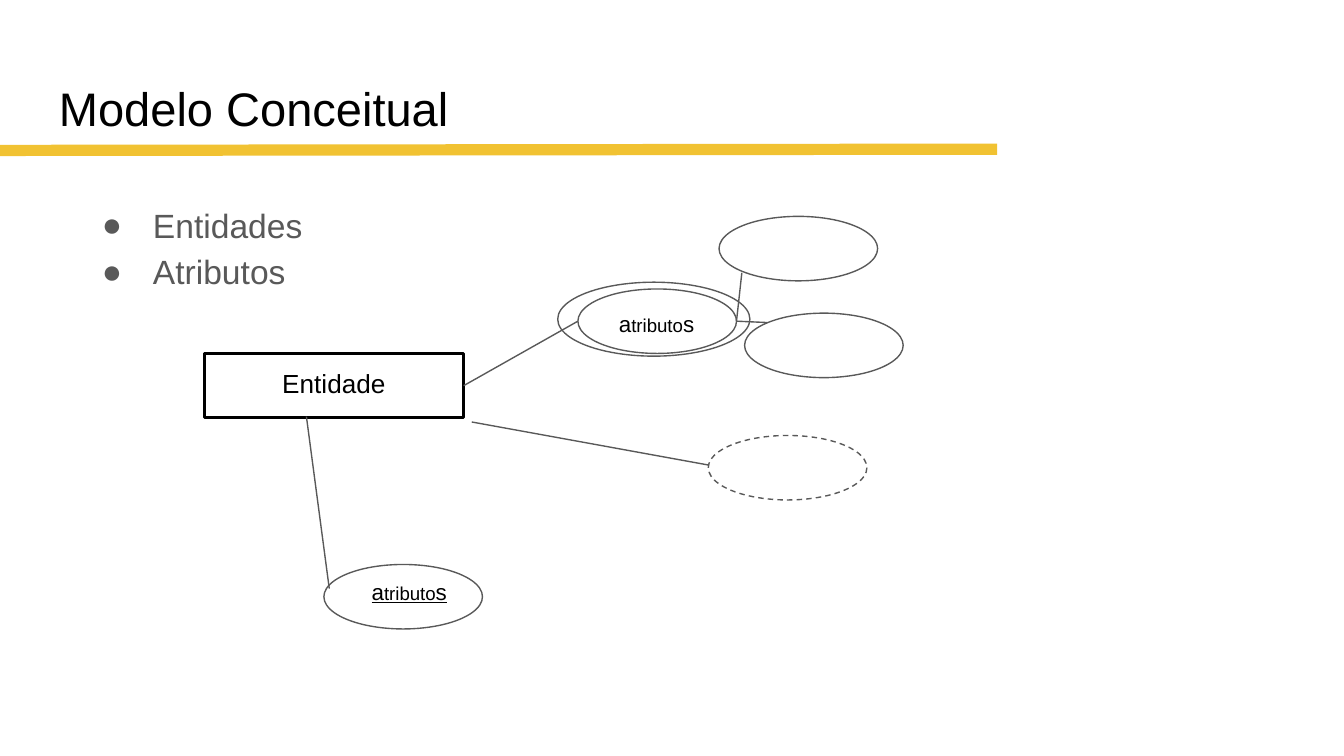
from lxml import etree
from pptx import Presentation
from pptx.dml.color import RGBColor
from pptx.enum.dml import MSO_LINE
from pptx.enum.shapes import MSO_CONNECTOR as CONNECTOR, MSO_SHAPE as SHAPE
from pptx.enum.text import MSO_ANCHOR as ANCHOR, PP_ALIGN as ALIGN
from pptx.oxml.ns import qn
from pptx.util import Pt

PX = 9144  # EMU per px, 100 px to the inch
SLIDE_WIDTH = 1000 * PX
SLIDE_HEIGHT = SLIDE_WIDTH * 9 // 16
FONT = "Arial"
COLORS = {"ink": "000000", "gray": "595959", "accent": "F1C232", "paper": "FFFFFF"}
OVAL_SIZE = (118, 48)
ATTRIBUTE_RUNS = [("a", 12), ("tributo", 10), ("s", 12)]


def px(*lengths):
    return [length * PX for length in lengths]


def rgb(name):
    return RGBColor.from_string(COLORS[name])


def style_line(line, color, width):
    line.color.rgb = rgb(color)
    line.width = Pt(width)


def set_frame(frame, anchor):
    frame.word_wrap = True
    frame.vertical_anchor = anchor
    frame.margin_left = frame.margin_right = 10 * PX
    frame.margin_top = frame.margin_bottom = 10 * PX


def add_runs(paragraph, runs, color="ink", underline=None):
    for text, size in runs:
        run = paragraph.add_run()
        run.text = text
        run.font.name = FONT
        run.font.size = Pt(size)
        run.font.color.rgb = rgb(color)
        run.font.underline = underline


def add_text(slide, box, runs, align=ALIGN.LEFT, anchor=ANCHOR.TOP, underline=None):
    frame = slide.shapes.add_textbox(*px(*box)).text_frame
    set_frame(frame, anchor)
    paragraph = frame.paragraphs[0]
    paragraph.alignment = align
    add_runs(paragraph, runs, underline=underline)


def add_bullet(paragraph, color):
    props = paragraph._p.get_or_add_pPr()
    props.set("marL", str(50 * PX))
    props.set("indent", str(-38 * PX))
    bullet_color = etree.SubElement(props, qn("a:buClr"))
    etree.SubElement(bullet_color, qn("a:srgbClr"), val=COLORS[color])
    etree.SubElement(props, qn("a:buFont"), typeface=FONT)
    etree.SubElement(props, qn("a:buChar"), char="●")


def add_topics(slide, box, topics):
    frame = slide.shapes.add_textbox(*px(*box)).text_frame
    set_frame(frame, ANCHOR.TOP)
    for index, topic in enumerate(topics):
        paragraph = frame.add_paragraph() if index else frame.paragraphs[0]
        paragraph.line_spacing = 1.15
        paragraph.space_before = Pt(0 if index else 12)
        add_bullet(paragraph, "gray")
        add_runs(paragraph, [(topic, 18)], "gray")


def add_outline(slide, kind, box, color="gray", width=0.75, fill=None):
    outline = slide.shapes.add_shape(kind, *px(*box))
    outline.shadow.inherit = False
    if fill:
        outline.fill.solid()
        outline.fill.fore_color.rgb = rgb(fill)
    else:
        outline.fill.background()
    style_line(outline.line, color, width)
    return outline


def add_oval(slide, left, top):
    return add_outline(slide, SHAPE.OVAL, (left, top, *OVAL_SIZE), fill="paper")


def add_entity(slide, box, label):
    entity = add_outline(slide, SHAPE.RECTANGLE, box, "ink", 1.5)
    set_frame(entity.text_frame, ANCHOR.TOP)
    paragraph = entity.text_frame.paragraphs[0]
    paragraph.alignment = ALIGN.CENTER
    add_runs(paragraph, [(label, 14)])
    return entity


def add_link(slide, start, end, color="gray", width=0.75):
    link = slide.shapes.add_connector(CONNECTOR.STRAIGHT, *px(*start, *end))
    style_line(link.line, color, width)
    etree.SubElement(link._element.spPr, qn("a:effectLst"))
    return link


def main():
    deck = Presentation()
    deck.slide_width, deck.slide_height = SLIDE_WIDTH, SLIDE_HEIGHT
    slide = deck.slides.add_slide(deck.slide_layouts[6])

    # Heading and topics
    add_link(slide, (-33, 112), (742, 111), "accent", 6)
    add_text(slide, (34, 49, 932, 63), [("Modelo Conceitual", 25.2)],
             anchor=ANCHOR.MIDDLE)
    add_topics(slide, (54, 138, 700, 421), ["Entidades", "Atributos"])

    # Entity
    entity = add_entity(slide, (152, 263, 193, 48), "Entidade")

    # Multivalued attribute, with its double outline
    add_outline(slide, SHAPE.OVAL, (415, 210, 143, 55))
    add_oval(slide, 430, 215)
    add_text(slide, (448, 221, 81, 24), ATTRIBUTE_RUNS, ALIGN.CENTER)
    entity_link = add_link(slide, (345, 287), (430, 239))
    entity_link.begin_connect(entity, 3)

    # Component attributes
    for oval, joint in [((535, 161), (552, 203)), ((554, 233), (571, 240))]:
        add_oval(slide, *oval)
        add_link(slide, joint, (548, 239))

    # Derived attribute
    derived = add_oval(slide, 527, 324)
    derived.line.dash_style = MSO_LINE.DASH
    add_link(slide, (351, 314), (527, 346))

    # Key attribute
    add_oval(slide, 241, 420)
    add_text(slide, (264, 420, 81, 24), ATTRIBUTE_RUNS, ALIGN.CENTER, underline=True)
    add_link(slide, (228, 310), (245, 438))

    deck.save("out.pptx")


if __name__ == "__main__":
    main()
